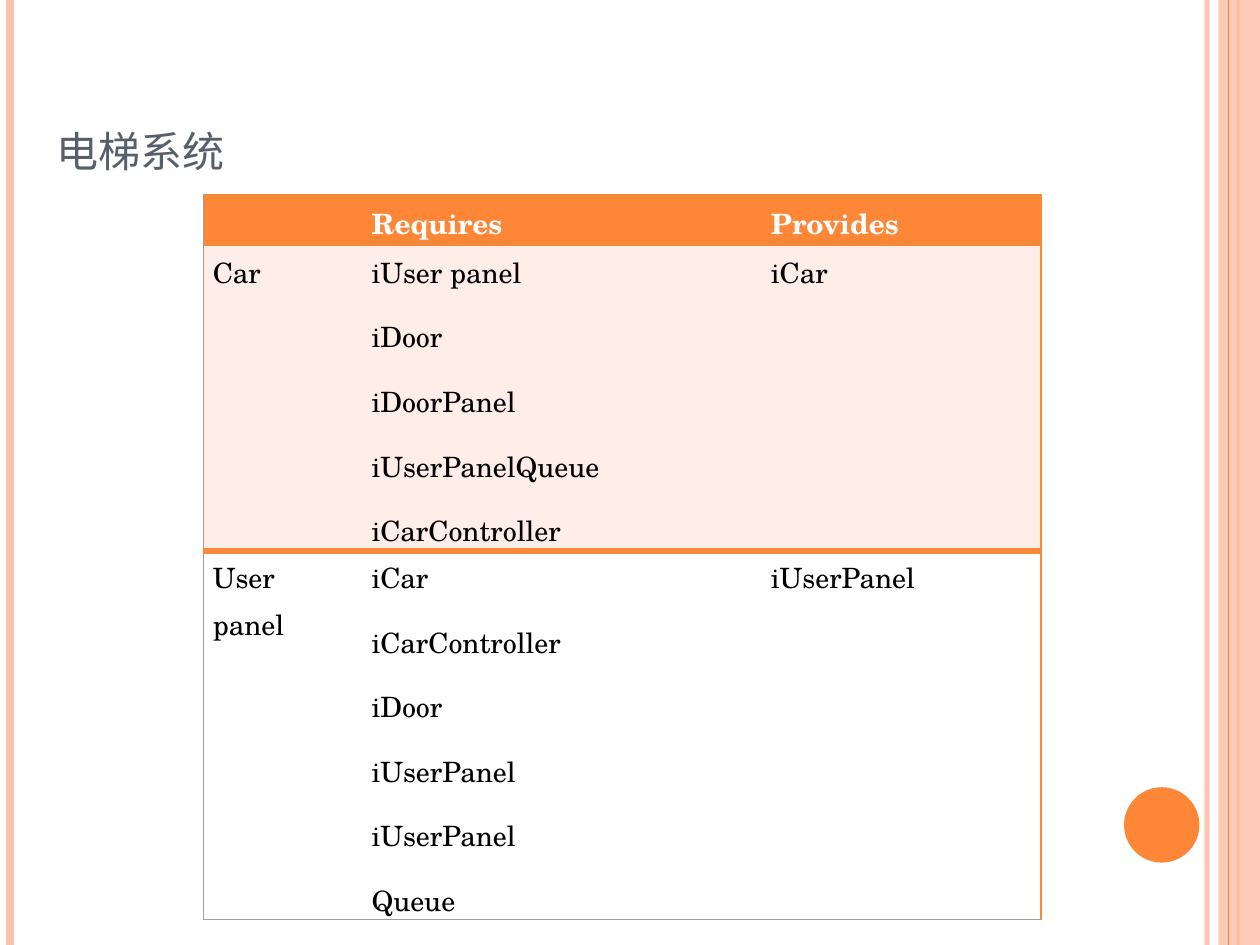
import pptx
import pptx.util
import pptx.dml.color
import pptx.enum.shapes
import pptx.enum.text
import pptx.oxml.ns
import lxml.etree

Cm = pptx.util.Cm
Pt = pptx.util.Pt
qn = pptx.oxml.ns.qn

FONT = "TeX Gyre Schola"
ORANGE, PEACH, BLUSH, WHITE = "FE8637", "FEC3AE", "FFEDE8", "FFFFFF"
SLATE, BLACK, GREY = "575F6D", "000000", "A0A0A0"
NO_STYLE = "{2D5ABB26-0587-4C30-8999-92F81FD0307C}"
WIDTH, HEIGHT = 25.4, 19.05

TITLE = "电梯系统"
COLUMN_WIDTHS = [3.2, 8.05, 5.64]
# Each row: height, fill, text colour, bold, cells as lists of paragraphs
ROWS = [
    (1.02, ORANGE, WHITE, True, [[], ["Requires"], ["Provides"]]),
    (6.15, BLUSH, BLACK, False, [
        ["Car"],
        ["iUser panel", "iDoor", "iDoorPanel", "iUserPanelQueue", "iCarController"],
        ["iCar"]]),
    (7.44, WHITE, BLACK, False, [
        ["User panel"],
        ["iCar", "iCarController", "iDoor", "iUserPanel", "iUserPanel", "Queue"],
        ["iUserPanel"]]),
]
# Vertical rules: x, colour, width in points, opacity in percent
RULES_BEHIND = [(24.33, PEACH, 3, 93), (0.2, PEACH, 4.5, 100), (24.97, ORANGE, 1.5, 100)]
RULE_IN_FRONT = (24.77, ORANGE, 0.75, 100)


def rgb(code):
    return pptx.dml.color.RGBColor.from_string(code)


def set_opacity(element, percent):
    if percent < 100:
        colour = next(element.iter(qn("a:srgbClr")))
        lxml.etree.SubElement(colour, qn("a:alpha"), val=str(percent * 1000))


def add_rule(page, x, colour, width, opacity):
    rule = page.shapes.add_connector(
        pptx.enum.shapes.MSO_CONNECTOR.STRAIGHT, Cm(x), 0, Cm(x), Cm(HEIGHT))
    rule.line.color.rgb = rgb(colour)
    rule.line.width = Pt(width)
    properties = rule._element.spPr
    set_opacity(properties, opacity)
    lxml.etree.SubElement(properties, qn("a:effectLst"))


def add_plain_shape(page, kind, place, colour, opacity=100):
    shape = page.shapes.add_shape(kind, *[Cm(value) for value in place])
    shape.shadow.inherit = False
    shape.fill.solid()
    shape.fill.fore_color.rgb = rgb(colour)
    shape.line.fill.background()
    set_opacity(shape._element.spPr, opacity)


def format_span(span, size, colour, bold=False):
    span.font.name = FONT
    span.font.size = Pt(size)
    span.font.bold = bold
    span.font.color.rgb = rgb(colour)


def add_title(page):
    box = page.shapes.add_textbox(Cm(0.89), Cm(0.53), Cm(22.86), Cm(3.18))
    frame = box.text_frame
    frame.word_wrap = True
    frame.vertical_anchor = pptx.enum.text.MSO_ANCHOR.BOTTOM
    frame.text = TITLE
    span = frame.paragraphs[0].runs[0]
    format_span(span, 30, SLATE)
    span._r.get_or_add_rPr().set("cap", "small")


def set_borders(cell, borders):
    """Place the border lines, in schema order, ahead of the cell's fill."""
    properties = cell._tc.get_or_add_tcPr()
    for index, side in enumerate("LRTB"):
        colour, width = borders.get(side, (None, 0))
        line = lxml.etree.Element(qn("a:ln" + side), w=str(int(Pt(width))))
        if colour:
            fill = lxml.etree.SubElement(line, qn("a:solidFill"))
            lxml.etree.SubElement(fill, qn("a:srgbClr"), val=colour)
        else:
            lxml.etree.SubElement(line, qn("a:noFill"))
        properties.insert(index, line)


def borders_for(row, column):
    thin, thick, hairline = (ORANGE, 1), (ORANGE, 4), (GREY, 0.5)
    last_row, last_column = len(ROWS) - 1, len(COLUMN_WIDTHS) - 1
    borders = {"T": thick if row == last_row else thin,
               "B": [thin, thick, hairline][row]}
    if column == 0:
        borders["L"] = hairline
    if column == last_column:
        borders["R"] = thin
    return borders


def fill_cell(cell, lines, background, colour, bold):
    cell.margin_left = cell.margin_right = Cm(0.19)
    cell.margin_top = cell.margin_bottom = 0
    cell.fill.solid()
    cell.fill.fore_color.rgb = rgb(background)
    cell.text_frame.text = "\n".join(lines)
    for para in cell.text_frame.paragraphs:
        para.line_spacing = 1.15
        para.space_after = Pt(10)
        for span in para.runs:
            format_span(span, 16, colour, bold)


def add_interface_table(page):
    heights = [row[0] for row in ROWS]
    frame = page.shapes.add_table(
        len(ROWS), len(COLUMN_WIDTHS), Cm(4.1), Cm(3.93),
        Cm(sum(COLUMN_WIDTHS)), Cm(sum(heights)))
    table = frame.table
    table.first_row = table.horz_banding = False
    next(table._tbl.iter(qn("a:tableStyleId"))).text = NO_STYLE
    for column, width in zip(table.columns, COLUMN_WIDTHS):
        column.width = Cm(width)
    for r, (height, background, colour, bold, cells) in enumerate(ROWS):
        table.rows[r].height = Cm(height)
        for c, lines in enumerate(cells):
            cell = table.cell(r, c)
            fill_cell(cell, lines, background, colour, bold)
            set_borders(cell, borders_for(r, c))


def main():
    deck = pptx.Presentation()
    deck.slide_width, deck.slide_height = Cm(WIDTH), Cm(HEIGHT)
    page = deck.slides.add_slide(deck.slide_layouts[6])
    shapes = pptx.enum.shapes.MSO_SHAPE
    for rule in RULES_BEHIND:
        add_rule(page, *rule)
    add_plain_shape(page, shapes.RECTANGLE, (24.56, 0, 0.84, HEIGHT), PEACH, 87)
    add_rule(page, *RULE_IN_FRONT)
    add_plain_shape(page, shapes.OVAL, (22.66, 15.87, 1.52, 1.52), ORANGE)
    add_title(page)
    add_interface_table(page)
    deck.save("out.pptx")


if __name__ == "__main__":
    main()
